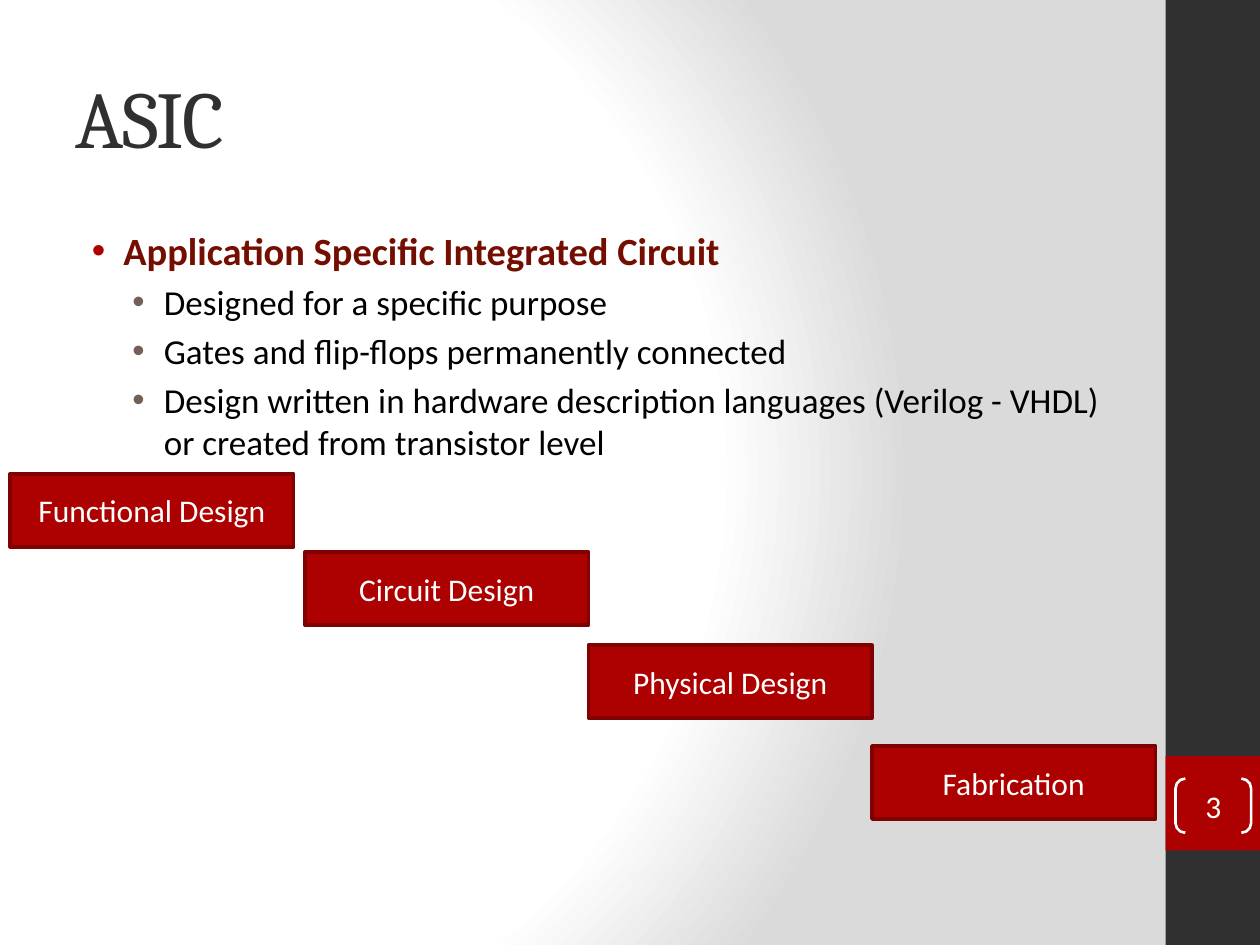
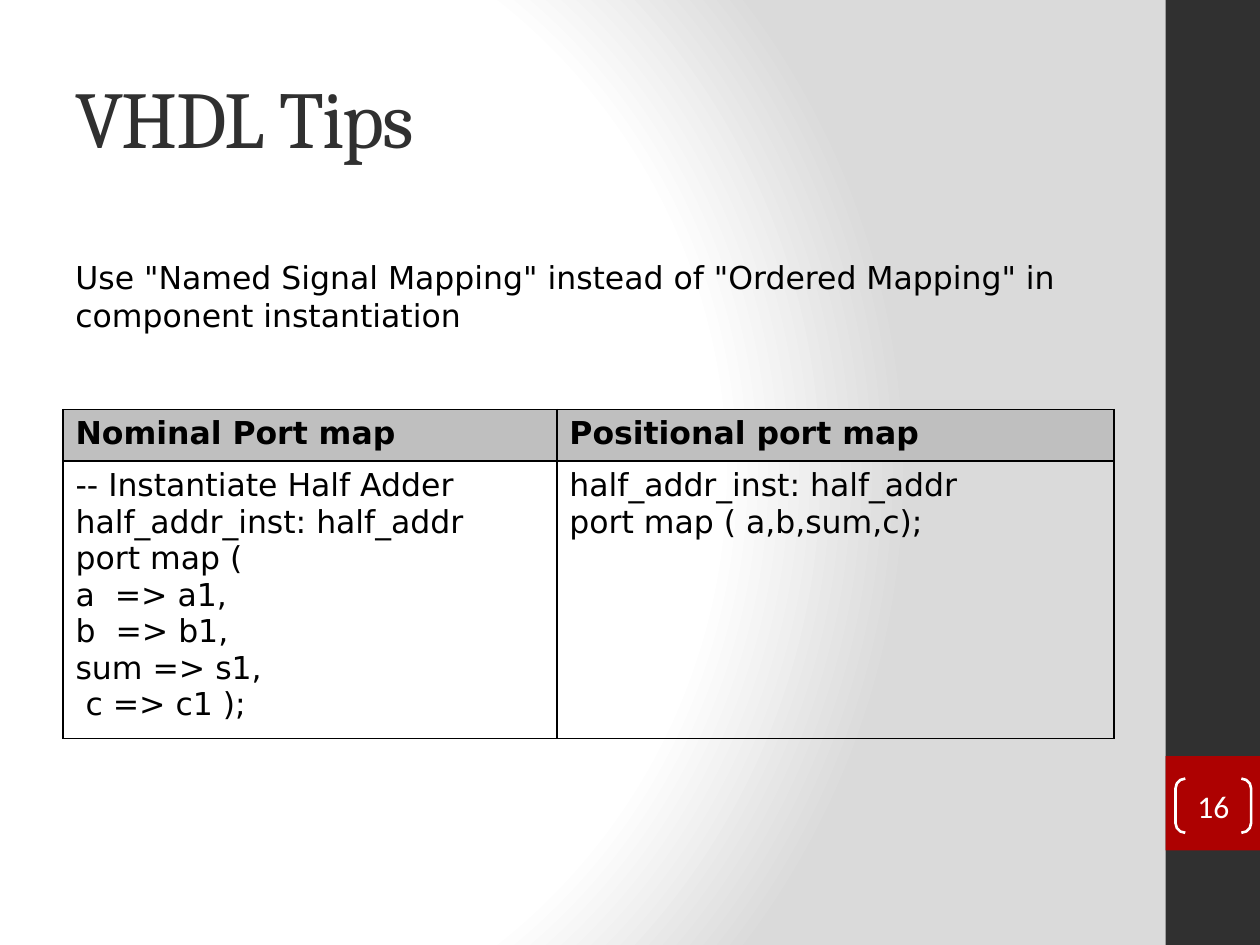
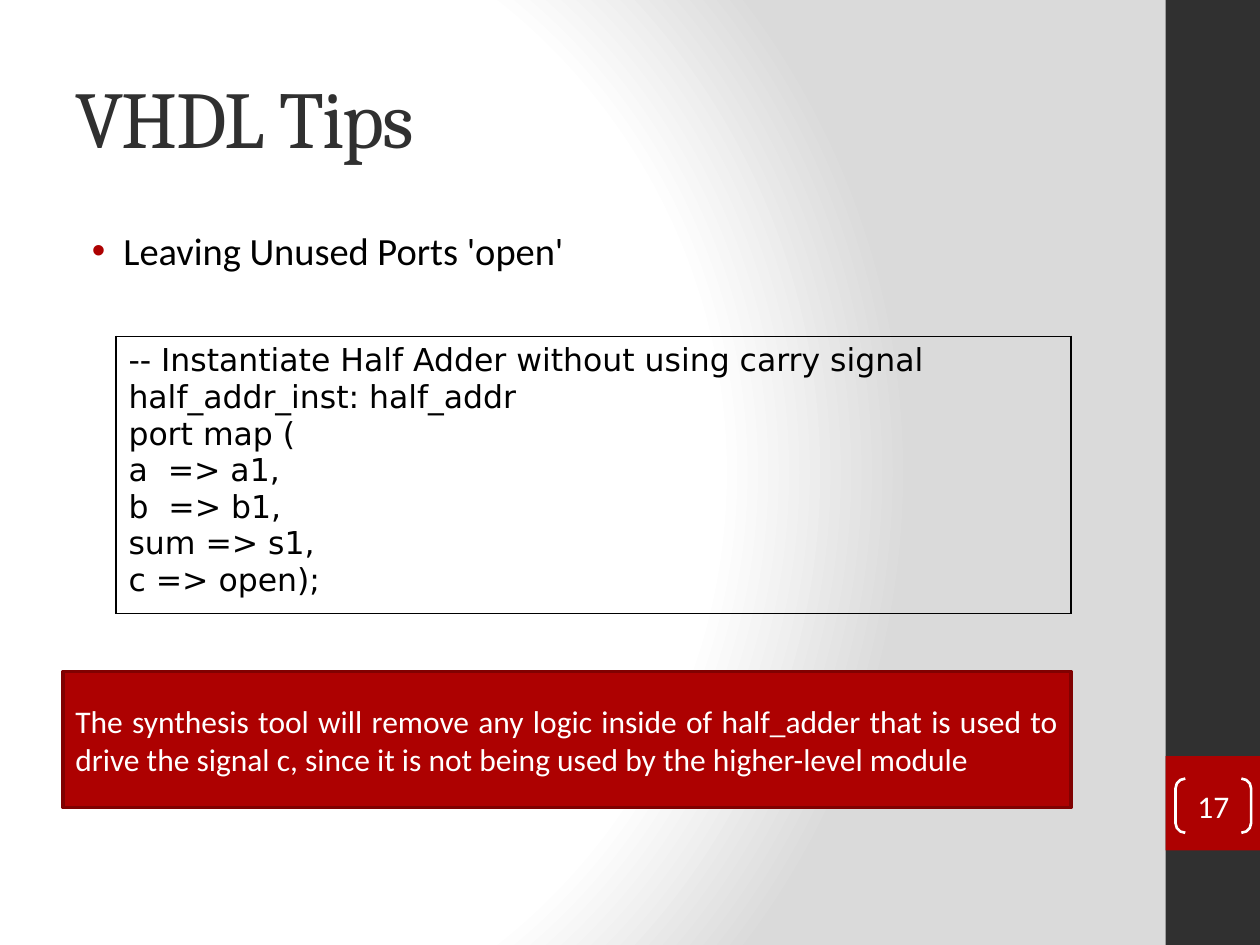
"""Build three slides on ASIC design and VHDL tips."""
from dataclasses import dataclass

from lxml.etree import SubElement as Sub
from pptx import Presentation
from pptx.dml.color import RGBColor as RGB
from pptx.enum.shapes import MSO_SHAPE as SHAPE
from pptx.enum.text import MSO_ANCHOR as ANCHOR, MSO_AUTO_SIZE as AUTO, PP_ALIGN as ALIGN
from pptx.oxml import parse_xml
from pptx.oxml.ns import nsdecls, qn
from pptx.util import Inches, Pt


@dataclass(frozen=True)
class Theme:
    dark: str = "303030"
    red: str = "AD0101"
    edge: str = "800101"
    rust: str = "730E00"
    taupe: str = "726056"
    gray: str = "BFBFBF"
    mist: str = "DADADA"
    black: str = "000000"
    white: str = "FFFFFF"
    head: str = "Cambria"
    body: str = "Calibri"
    code: str = "DejaVu Sans"
    title: int = 46
    lead: int = 22
    sub: int = 20
    text: int = 18


def grid(*cells):
    """Turn cells of a 120 by 90 slide grid into lengths."""
    return [Inches(round(cell / 12, 2)) for cell in cells]


def style(para, face, size, color, bold=False, align=ALIGN.LEFT):
    """Set the font and alignment of a paragraph."""
    font = para.font
    font.name, font.size, font.bold = face, Pt(size), bold
    font.color.rgb = RGB.from_string(color)
    para.alignment = align


look = Theme()
deck = Presentation()
deck.slide_width, deck.slide_height = grid(120, 90)
master = deck.slide_master

master.background.fill.solid()
back = master.element.cSld.find(qn("p:bg")).find(qn("p:bgPr"))
back.replace(back[0], parse_xml(
    f'<a:gradFill {nsdecls("a")} rotWithShape="1"><a:gsLst>'
    f'<a:gs pos="0"><a:srgbClr val="{look.white}"/></a:gs>'
    f'<a:gs pos="75000"><a:srgbClr val="{look.white}"/></a:gs>'
    f'<a:gs pos="100000"><a:srgbClr val="{look.mist}"/></a:gs></a:gsLst>'
    '<a:path path="circle"><a:fillToRect l="20000" t="50000" r="100000" b="50000"/>'
    '</a:path></a:gradFill>'))

for hold, place in zip(master.placeholders, [(6, 3.6, 100, 15), (6, 21, 100, 63)]):
    hold.left, hold.top, hold.width, hold.height = grid(*place)

pages = []
for name, number, plan in [("ASIC", 3, 1), ("VHDL Tips", 16, 5), ("VHDL Tips", 17, 1)]:
    page = deck.slides.add_slide(deck.slide_layouts[plan])
    pages.append(page)
    frame = page.shapes.title.text_frame
    frame.text = name
    frame.auto_size, frame.vertical_anchor = AUTO.NONE, ANCHOR.MIDDLE
    style(frame.paragraphs[0], look.head, look.title, look.dark)
    frame.paragraphs[0].runs[0]._r.get_or_add_rPr().set("spc", "-100")

    mark = page.shapes.add_shape(SHAPE.DOUBLE_BRACKET, *grid(112, 74.2, 7.2, 5.2))
    mark.adjustments[0] = 0.18
    mark.shadow.inherit = False
    mark.fill.background()
    mark.line.color.rgb, mark.line.width = RGB.from_string(look.white), Pt(1.5)
    frame = mark.text_frame
    frame.margin_left = frame.margin_right = frame.margin_top = frame.margin_bottom = 0
    frame.text = str(number)
    style(frame.paragraphs[0], look.body, look.text, look.white, align=ALIGN.CENTER)

asic, ports, unused = pages

for spot, (place, color) in enumerate([((111, 0, 9, 90), look.dark),
                                       ((111, 72, 9, 9), look.red)], 2):
    band = asic.shapes.add_shape(SHAPE.RECTANGLE, *grid(*place))
    band.shadow.inherit = False
    band.fill.solid()
    band.fill.fore_color.rgb = RGB.from_string(color)
    band.line.fill.background()
    master.shapes._spTree.insert(spot, band._element)

lists = [
    (asic, [(0, "Application Specific Integrated Circuit", look.rust, True),
            (1, "Designed for a specific purpose", look.black, False),
            (1, "Gates and flip-flops permanently connected", look.black, False),
            (1, "Design written in hardware description languages (Verilog - VHDL) "
                "or created from transistor level", look.black, False)]),
    (unused, [(0, "Leaving Unused Ports 'open'", look.black, False)]),
]
for page, items in lists:
    frame = page.placeholders[1].text_frame
    frame.text = "\n".join(item[1] for item in items)
    frame.auto_size = AUTO.NONE
    for para, (level, _, color, bold) in zip(frame.paragraphs, items):
        para.level = level
        props = para._p.get_or_add_pPr()
        props.set("marL", str(Inches((0.38, 0.7)[level])))
        props.set("indent", str(Inches(-0.25)))
        Sub(Sub(props, qn("a:buClr")), qn("a:srgbClr"), val=(look.red, look.taupe)[level])
        Sub(props, qn("a:buFont"), typeface="Arial")
        Sub(props, qn("a:buChar"), char="•")
        style(para, look.body, (look.lead, look.sub)[level], color, bold)

cards = [
    (asic, (29, 52.5, 27, 7), "Circuit Design", ALIGN.CENTER),
    (asic, (1, 45.1, 27, 7), "Functional Design", ALIGN.CENTER),
    (asic, (56, 61.5, 27, 7), "Physical Design", ALIGN.CENTER),
    (asic, (83, 71, 27, 7), "Fabrication", ALIGN.CENTER),
    (unused, (6, 64, 96, 13),
     "The synthesis tool will remove any logic inside of half_adder that is used to "
     "drive the signal c, since it is not being used by the higher-level module",
     ALIGN.JUSTIFY),
]
for page, place, words, align in cards:
    card = page.shapes.add_shape(SHAPE.RECTANGLE, *grid(*place))
    card.shadow.inherit = False
    card.fill.solid()
    card.fill.fore_color.rgb = RGB.from_string(look.red)
    card.line.color.rgb, card.line.width = RGB.from_string(look.edge), Pt(2)
    card.text_frame.text = words
    style(card.text_frame.paragraphs[0], look.body, look.text, look.white, align=align)

note = ports.shapes.add_textbox(*grid(6, 24, 98, 12.1)).text_frame
note.word_wrap = True
note.text = ('Use "Named Signal Mapping" instead of "Ordered Mapping" '
             'in component instantiation')
style(note.paragraphs[0], look.code, look.text, look.black)

call = "half_addr_inst: half_addr\nport map ("
pins = "\na  => a1,\nb  => b1,\nsum => s1,\n"
tables = [
    (ports, (6, 39), (47, 53), (4.9, 26.4),
     [["Nominal Port map", "Positional port map"],
      [f"-- Instantiate Half Adder\n{call}{pins} c => c1 );", f"{call} a,b,sum,c);"]]),
    (unused, (11, 32), (91,), (26.4,),
     [[f"-- Instantiate Half Adder without using carry signal\n{call}{pins}c => open);"]]),
]
for page, place, cols, rows, texts in tables:
    size = len(rows), len(cols)
    table = page.shapes.add_table(*size, *grid(*place, sum(cols), sum(rows))).table
    table.first_row = table.horz_banding = False
    for col, width in zip(table.columns, grid(*cols)):
        col.width = width
    for row, height, line in zip(table.rows, grid(*rows), texts):
        row.height = height
        for cell, words in zip(row.cells, line):
            head = len(rows) > 1 and line is texts[0]
            cell.text = words
            for para in cell.text_frame.paragraphs:
                style(para, look.code, look.text, look.black, head)
            props = cell._tc.get_or_add_tcPr()
            for side in ("lnL", "lnR", "lnT", "lnB"):
                rule = Sub(props, qn(f"a:{side}"), w=str(Pt(1)))
                Sub(Sub(rule, qn("a:solidFill")), qn("a:srgbClr"), val=look.black)
            if head:
                cell.fill.solid()
                cell.fill.fore_color.rgb = RGB.from_string(look.gray)
            else:
                cell.fill.background()

deck.save("out.pptx")
